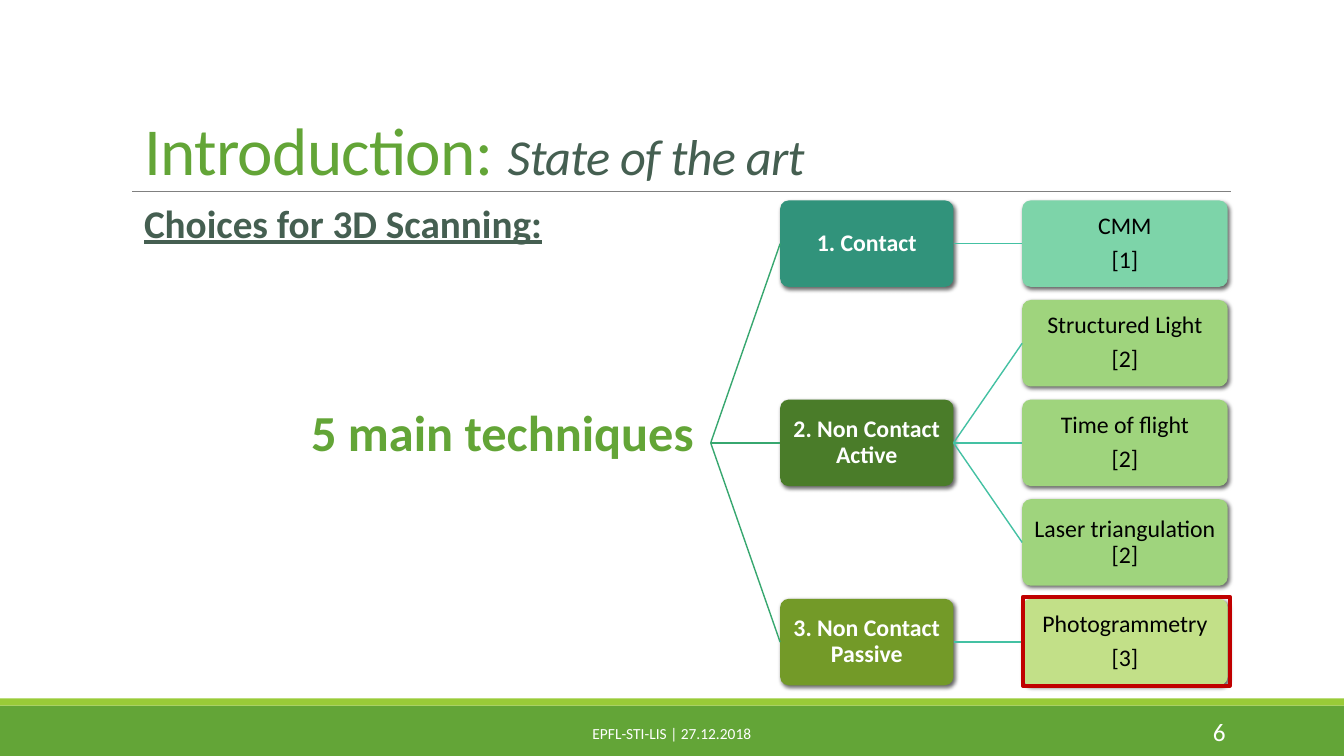
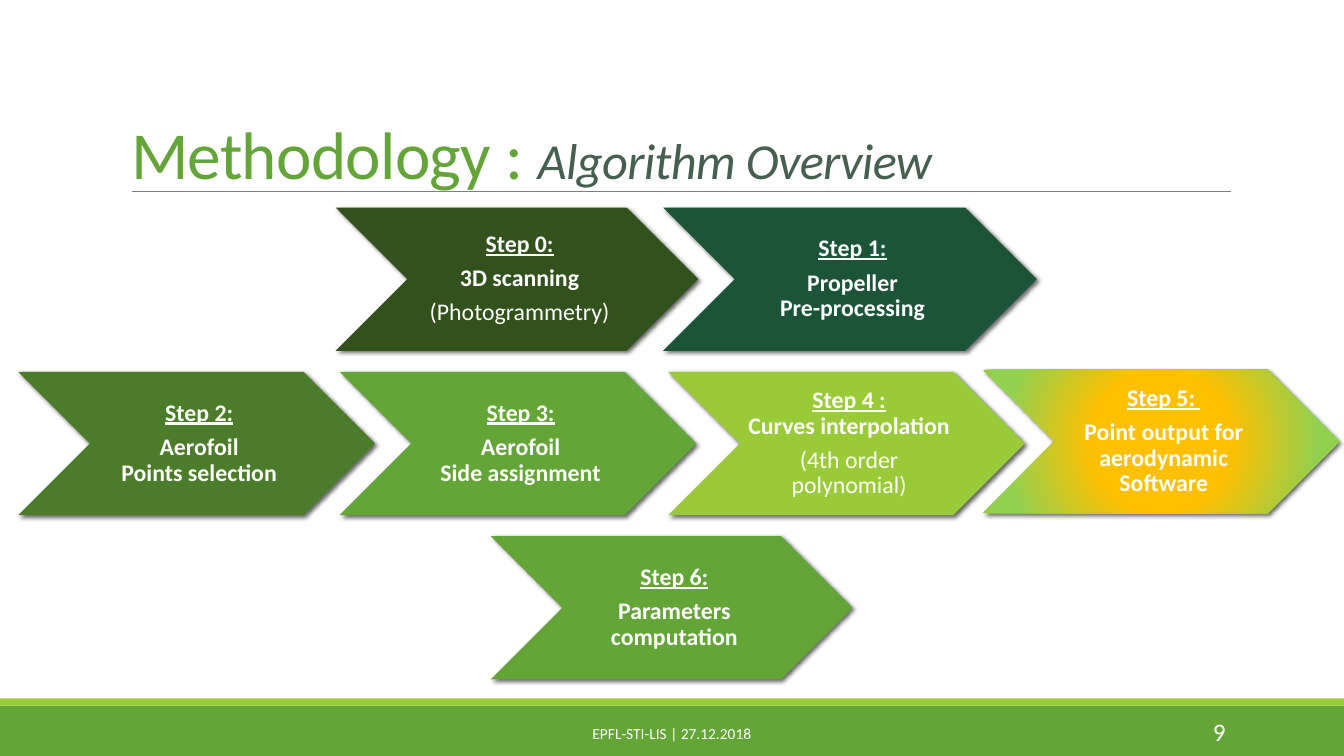
from dataclasses import dataclass

from pptx import Presentation
from pptx.dml.color import RGBColor
from pptx.enum.shapes import MSO_CONNECTOR, MSO_SHAPE
from pptx.enum.text import MSO_ANCHOR, MSO_AUTO_SIZE, PP_ALIGN
from pptx.oxml import parse_xml
from pptx.oxml.ns import nsdecls, qn
from pptx.oxml.xmlchemy import OxmlElement
from pptx.util import Cm, Pt

RECT, ROUNDED, CHEVRON = MSO_SHAPE.RECTANGLE, MSO_SHAPE.ROUNDED_RECTANGLE, MSO_SHAPE.CHEVRON
STRAIGHT = MSO_CONNECTOR.STRAIGHT
LEFT, CENTER, RIGHT = PP_ALIGN.LEFT, PP_ALIGN.CENTER, PP_ALIGN.RIGHT
TOP, MIDDLE, BOTTOM = MSO_ANCHOR.TOP, MSO_ANCHOR.MIDDLE, MSO_ANCHOR.BOTTOM
LEFT_SITE, RIGHT_SITE = 1, 3  # connection sites of a rounded rectangle


@dataclass(frozen=True)
class Theme:
    font: str = "Calibri"
    green: str = "63A537"
    lime: str = "99CB38"
    slate: str = "455F51"
    forest: str = "4A7C29"
    white: str = "FFFFFF"
    black: str = "000000"
    grey: str = "808080"
    red: str = "C00000"
    trunk: str = "37A76F"
    branch: str = "44C1A3"
    title: int = 48
    subtitle: int = 36
    heading: int = 28
    card: int = 17
    number: int = 18
    footer: int = 11


T = Theme()
SHADOW = (f'<a:outerShdw {nsdecls("a")} blurRad="38100" dist="25400" dir="2700000" '
          'algn="ctr" rotWithShape="0"><a:srgbClr val="000000"><a:alpha val="60000"/>'
          '</a:srgbClr></a:outerShdw>')
GLOW_STOPS = [(36, "FFC000"), (82, "92D050"), (94, "92D050"), (100, T.lime)]


def write(tf, paras, size, colour, align=CENTER, anchor=MIDDLE, spacing=0.9, after=0):
    """Fill a text frame; a run is (text, marks) or (text, marks, size, colour).

    Marks are any of the letters b, i and u; the text "\\n" is a line break.
    """
    tf.word_wrap = True
    tf.auto_size = MSO_AUTO_SIZE.NONE
    tf.vertical_anchor = anchor
    for i, runs in enumerate(paras):
        p = tf.add_paragraph() if i else tf.paragraphs[0]
        p.alignment = align
        p.line_spacing = spacing
        p.space_after = Pt(after)
        for text, marks, *look in runs:
            if text == "\n":
                p.add_line_break()
                continue
            run_size, run_colour = look or (size, colour)
            r = p.add_run()
            r.text = text
            r.font.name = T.font
            r.font.size = Pt(run_size)
            r.font.color.rgb = RGBColor.from_string(run_colour)
            r.font.bold = "b" in marks
            r.font.italic = "i" in marks
            r.font.underline = "u" in marks


def add_card(s, kind, box, fill, paras, colour, insets):
    """Add a shadowed shape with centred text; a list as fill is a radial gradient."""
    sp = s.shapes.add_shape(kind, *map(Cm, box))
    spPr = sp._element.spPr
    if isinstance(fill, list):
        stops = "".join(f'<a:gs pos="{pos * 1000}"><a:srgbClr val="{rgb}"/></a:gs>'
                        for pos, rgb in fill)
        spPr.find(qn("a:prstGeom")).addnext(parse_xml(
            f'<a:gradFill {nsdecls("a")}><a:gsLst>{stops}</a:gsLst><a:path path="circle">'
            '<a:fillToRect l="50000" t="50000" r="50000" b="50000"/></a:path></a:gradFill>'))
    else:
        sp.fill.solid()
        sp.fill.fore_color.rgb = RGBColor.from_string(fill)
    sp.line.fill.background()
    sp.shadow.inherit = False
    spPr.find(qn("a:effectLst")).append(parse_xml(SHADOW))
    tf = sp.text_frame
    tf.margin_left, tf.margin_top, tf.margin_right, tf.margin_bottom = map(Cm, insets)
    write(tf, paras, T.card, colour, after=6)
    return sp


prs = Presentation()
prs.slide_width, prs.slide_height = Cm(33.87), Cm(19.05)

# Shared frame: bands, rule, title, footer and number
headers = [
    ("Introduction: ", "State of the art", (3.38, 1.22, 27.61, 3.68), "6"),
    ("Methodology : ", "Algorithm Overview", (3.05, 0, 28.09, 5), "9"),
]
for title, subtitle, title_box, number in headers:
    s = prs.slides.add_slide(prs.slide_layouts.get_by_name("Title Only"))
    for top, height, colour in [(17.78, 1.27, T.green), (17.6, 0.18, T.lime)]:
        band = s.shapes.add_shape(RECT, 0, Cm(top), prs.slide_width, Cm(height))
        band.fill.solid()
        band.fill.fore_color.rgb = RGBColor.from_string(colour)
        band.line.fill.background()
        band.shadow.inherit = False

    rule = s.shapes.add_connector(STRAIGHT, Cm(3.33), Cm(4.83), Cm(31.01), Cm(4.83))
    rule.line.color.rgb = RGBColor.from_string(T.grey)
    rule.line.width = Pt(0.5)
    rule._element.spPr.append(OxmlElement("a:effectLst"))

    heading = s.shapes.title
    heading.left, heading.top, heading.width, heading.height = map(Cm, title_box)
    write(heading.text_frame, [[(title, ""), (subtitle, "i", T.subtitle, T.slate)]],
          T.title, T.green, LEFT, BOTTOM, 0.85)
    for r in heading.text_frame.paragraphs[0].runs:
        r._r.get_or_add_rPr().set("spc", "-50")

    for text, box, size, align in [
        ("EPFL-STI-LIS | 27.12.2018", (10.24, 17.98, 13.39, 1.02), T.footer, CENTER),
        (number, (27.51, 17.93, 3.63, 1.02), T.number, RIGHT),
    ]:
        tb = s.shapes.add_textbox(*map(Cm, box))
        write(tb.text_frame, [[(text, "")]], size, T.white, align, spacing=1)

tree_slide, steps_slide = prs.slides

# Tree of scanning techniques
s = tree_slide
for text, marks, box, size, colour, align in [
    ("5 main techniques", "b", (6.15, 10.16, 13.03, 1.98), T.subtitle, T.green, CENTER),
    ("Choices for 3D Scanning:", "bu", (3.38, 5.03, 23.7, 1.35), T.heading, T.slate, LEFT),
]:
    tb = s.shapes.add_textbox(*map(Cm, box))
    write(tb.text_frame, [[(text, marks)]], size, colour, align, TOP)

ROW_TOP, ROW_STEP, CARD_H = 5.05, 2.51, 2.18
GROUP_X, GROUP_W, LEAF_X, LEAF_W = 19.66, 4.37, 25.76, 5.18
ROOT_X, ROOT_Y = 17.91, ROW_TOP + 2 * ROW_STEP + CARD_H / 2
TREE_INSETS = (0.03,) * 4
groups = [
    ("1. Contact", "31937B", "7DD4A9", [["CMM", "[1]"]]),
    ("2. Non Contact Active", T.forest, "9FD47D",
     [["Structured Light", "[2]"], ["Time of flight", "[2]"], ["Laser triangulation [2]"]]),
    ("3. Non Contact Passive", "739A28", "C2E088", [["Photogrammetry", "[3]"]]),
]
row = 0
for name, group_fill, leaf_fill, leaves in groups:
    group_row = row + (len(leaves) - 1) / 2
    group_box = (GROUP_X, ROW_TOP + group_row * ROW_STEP, GROUP_W, CARD_H)
    group = add_card(s, ROUNDED, group_box, group_fill, [[(name, "b")]], T.white, TREE_INSETS)
    group.adjustments[0] = 0.1
    links = [(None, group, T.trunk)]
    for lines in leaves:
        leaf_box = (LEAF_X, ROW_TOP + row * ROW_STEP, LEAF_W, CARD_H)
        leaf = add_card(s, ROUNDED, leaf_box, leaf_fill, [[(line, "")] for line in lines],
                        T.black, TREE_INSETS)
        leaf.adjustments[0] = 0.1
        links.append((group, leaf, T.branch))
        row += 1
    for parent, child, colour in links:
        link = s.shapes.add_connector(STRAIGHT, Cm(ROOT_X), Cm(ROOT_Y), Cm(ROOT_X), Cm(ROOT_Y))
        if parent:
            link.begin_connect(parent, RIGHT_SITE)
        link.end_connect(child, LEFT_SITE)
        link.line.color.rgb = RGBColor.from_string(colour)
        link.line.width = Pt(1)
        link._element.spPr.append(OxmlElement("a:effectLst"))

highlight = s.shapes.add_shape(RECT, Cm(25.78), Cm(15.04), Cm(5.21), Cm(2.24))
highlight.fill.background()
highlight.line.color.rgb = RGBColor.from_string(T.red)
highlight.line.width = Pt(3)
highlight.shadow.inherit = False

# Chevrons of the algorithm
STEP_H = 3.61
STEP_INSETS = (0.18, 0.05, 0.05, 0.05)
BREAK = ("\n", "")
steps = [
    (8.46, 5.23, 9.14, "31521C",
     [[("Step 0:", "bu")], [("3D scanning", "b")], [("(Photogrammetry)", "")]]),
    (16.71, 5.23, 9.42, "1C5438",
     [[("Step 1:", "bu")], [("Propeller", "b"), BREAK, ("Pre-processing", "b")]]),
    (0.46, 9.37, 8.99, T.forest,
     [[("Step 2:", "bu")], [("Aerofoil", "b"), BREAK, ("Points selection", "b")]]),
    (8.56, 9.37, 8.99, T.green,
     [[("Step 3:", "bu")], [("Aerofoil", "b"), BREAK, ("Side assignment", "b")]]),
    (16.84, 9.37, 8.99, T.lime,
     [[("Step 4 :", "bu"), BREAK, ("Curves interpolation", "b")],
      [("(4th order polynomial)", "")]]),
    (24.77, 9.32, 8.99, GLOW_STOPS,
     [[("Step 5: ", "bu")], [("Point output for aerodynamic Software", "b")]]),
    (12.37, 13.51, 9.12, T.green,
     [[("Step 6:", "bu")], [("Parameters computation", "b")]]),
]
for left, top, width, fill, paras in steps:
    add_card(steps_slide, CHEVRON, (left, top, width, STEP_H), fill, paras, T.white, STEP_INSETS)

prs.save("out.pptx")
